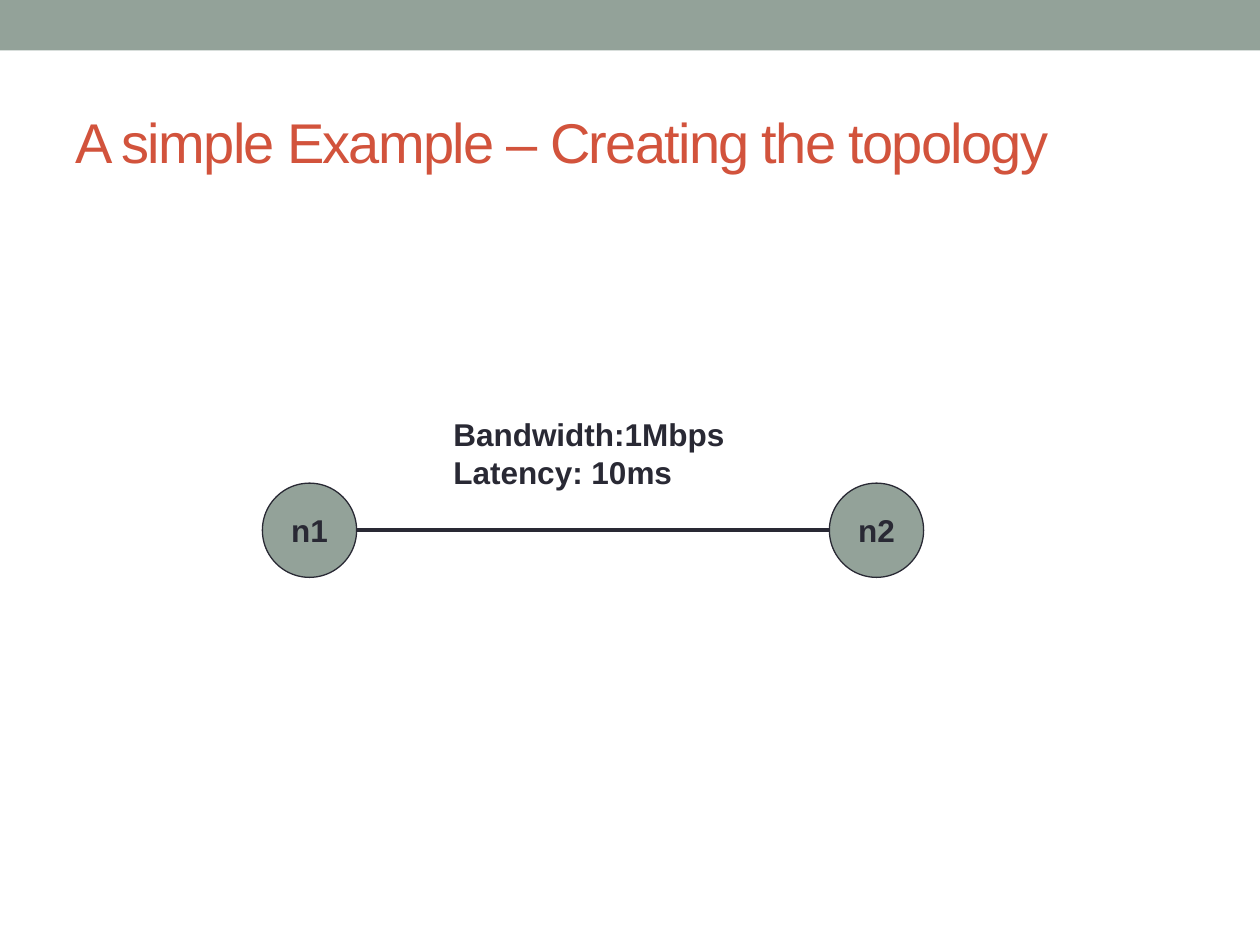
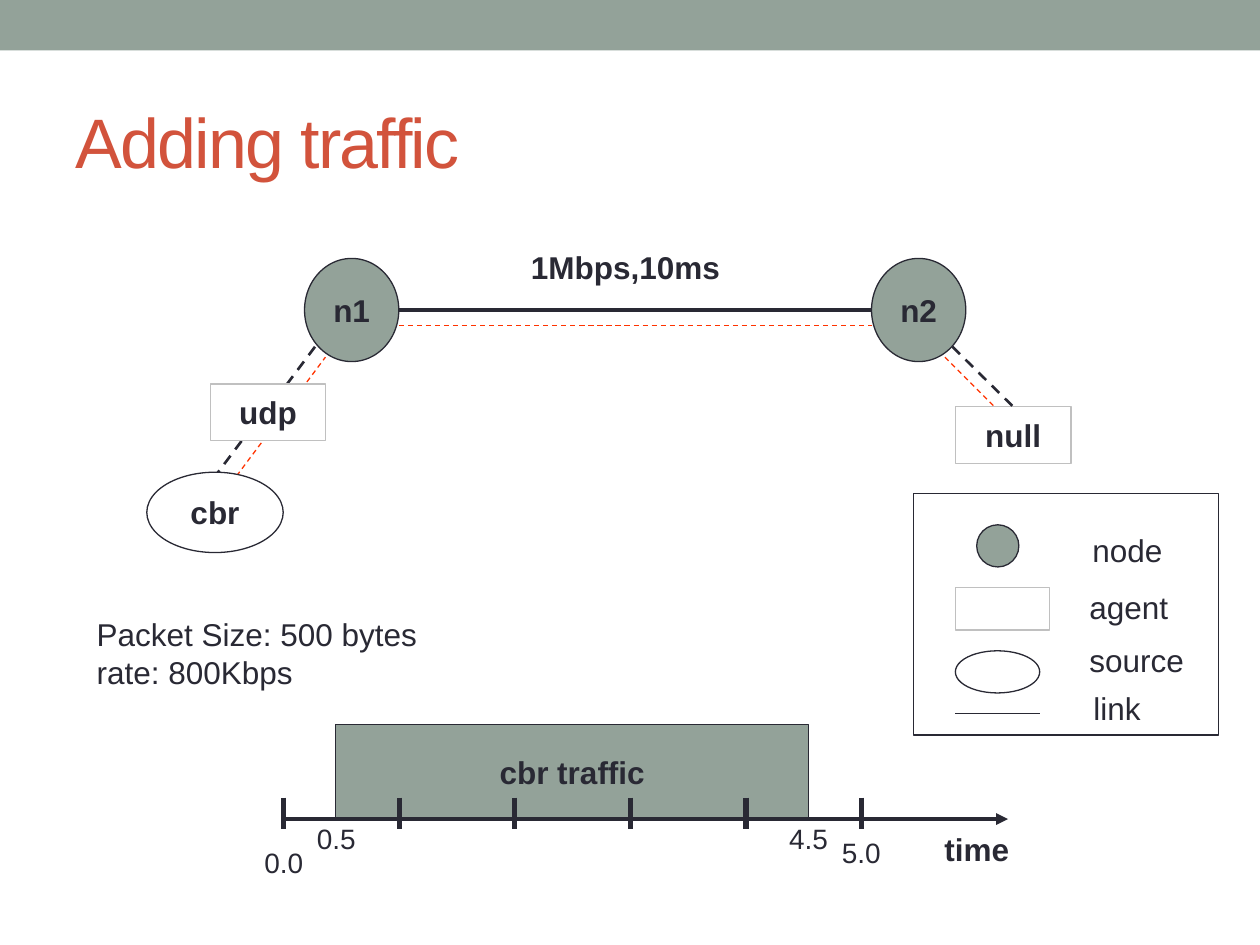
from pptx import Presentation
from pptx.dml.color import RGBColor
from pptx.enum.dml import MSO_LINE_DASH_STYLE as Dash
from pptx.enum.shapes import MSO_CONNECTOR, MSO_SHAPE as Shape
from pptx.enum.text import MSO_ANCHOR as Anchor, PP_ALIGN as Align
from pptx.oxml.ns import qn
from pptx.util import Cm, Pt
from lxml.etree import SubElement

FONT = "Arial"
COLORS = {
    "sage": "93A299",
    "title": "D2533C",
    "ink": "292934",
    "white": "FFFFFF",
    "grey": "C0C0C0",
    "flow": "FF3300",
}
NODE_WIDTH = 1.9
NODE_STEP = 11.43
AGENT_SIZE = (2.33, 1.14)


def color(name):
    return RGBColor.from_string(COLORS[name])


def write(box, text, size=18, ink="ink", bold=False, align=Align.LEFT,
          anchor=Anchor.TOP, wrap=True, spacing=None):
    frame = box.text_frame
    frame.word_wrap = wrap
    frame.vertical_anchor = anchor
    for index, line in enumerate(text.split("\n")):
        para = frame.add_paragraph() if index else frame.paragraphs[0]
        para.alignment = align
        span = para.add_run()
        span.text = line
        span.font.name = FONT
        span.font.size = Pt(size)
        span.font.bold = bold
        span.font.color.rgb = color(ink)
        if spacing is not None:
            span._r.get_or_add_rPr().set("spc", str(spacing * 100))


def add_label(page, text, left, top, width, height, **style):
    box = page.shapes.add_textbox(Cm(left), Cm(top), Cm(width), Cm(height))
    write(box, text, **style)


def add_block(page, kind, left, top, width, height, fill="white", outline="ink", text=""):
    block = page.shapes.add_shape(kind, Cm(left), Cm(top), Cm(width), Cm(height))
    block.shadow.inherit = False
    block.fill.solid()
    block.fill.fore_color.rgb = color(fill)
    if outline:
        block.line.color.rgb = color(outline)
        block.line.width = Pt(0.75)
    else:
        block.line.fill.background()
    if text:
        write(block, text, bold=True, align=Align.CENTER, anchor=Anchor.MIDDLE, wrap=False)
    return block


def add_line(page, start, end, width=0.75, ink="ink", dashed=False, arrow=False):
    line = page.shapes.add_connector(
        MSO_CONNECTOR.STRAIGHT, *(Cm(value) for value in (*start, *end)))
    line.line.color.rgb = color(ink)
    line.line.width = Pt(width)
    if dashed:
        line.line.dash_style = Dash.DASH
    if arrow:
        SubElement(line.line._get_or_add_ln(), qn("a:tailEnd"), type="triangle")
    SubElement(line._element.spPr, qn("a:effectLst"))
    return line


def add_page(deck, title, size):
    page = deck.slides.add_slide(deck.slide_layouts[6])
    add_block(page, Shape.RECTANGLE, 0, 0, 25.4, 1.02, fill="sage", outline=None)
    add_label(page, title, 1.27, 1.47, 22.86, 2.74, size=size, ink="title",
              anchor=Anchor.MIDDLE, spacing=-1)
    return page


def add_linked_nodes(page, left, top, height):
    for index, name in enumerate(("n1", "n2")):
        add_block(page, Shape.OVAL, left + index * NODE_STEP, top, NODE_WIDTH, height,
                  fill="sage", text=name)
    middle = top + height / 2
    add_line(page, (left + NODE_WIDTH, middle), (left + NODE_STEP, middle), width=2.25)


def add_agents(page):
    for start, end in (((4.66, 9.74), (6.56, 7.2)),
                       ((8.04, 6.56), (17.57, 6.56)),
                       ((19.05, 7.2), (20.11, 8.26))):
        add_line(page, start, end, ink="flow", dashed=True)
    for start, end in (((6.35, 6.99), (5.72, 7.83)), ((4.87, 8.89), (4.23, 9.74))):
        add_line(page, start, end, width=1.5, dashed=True)
    add_linked_nodes(page, 6.14, 5.21, 2.08)
    add_block(page, Shape.RECTANGLE, 4.24, 7.74, *AGENT_SIZE, outline="grey", text="udp")
    sink = add_block(page, Shape.RECTANGLE, 19.26, 8.2, *AGENT_SIZE,
                     outline="grey", text="null")
    sink_link = add_line(page, (19.2, 6.99), (20.42, 8.2), width=1.5, dashed=True)
    sink_link.end_connect(sink, 0)
    add_block(page, Shape.OVAL, 2.96, 9.52, 2.75, 1.62, text="cbr")


def add_timeline(page):
    origin, axis, tick_step = 5.72, 16.51, 2.33
    add_block(page, Shape.RECTANGLE, 6.77, 14.6, 9.53, 1.91, fill="sage", text="cbr traffic")
    add_line(page, (origin, axis), (20.32, axis), width=2.25, arrow=True)
    for index in range(6):
        tick = origin + index * tick_step
        add_line(page, (tick, 16.08), (tick, 16.72), width=3)
    for time, left, top in (("0.0", 5.08, 16.93), ("0.5", 6.14, 16.43),
                            ("4.5", 15.66, 16.43), ("5.0", 16.72, 16.72)):
        add_label(page, time, left, top, 1.48, 0.94, size=16)
    add_label(page, "time", 18.79, 16.6, 1.84, 1.02, bold=True, wrap=False)


def add_legend(page):
    add_block(page, Shape.RECTANGLE, 18.42, 9.95, 6.14, 4.87)
    add_block(page, Shape.OVAL, 19.69, 10.58, 0.85, 0.85, fill="sage")
    add_block(page, Shape.RECTANGLE, 19.26, 11.85, 1.9, 0.85, outline="grey")
    add_block(page, Shape.OVAL, 19.26, 13.12, 1.7, 0.85)
    add_line(page, (19.26, 14.39), (20.96, 14.39))
    for name, left, top, width in (("node", 21.77, 10.59, 1.93), ("agent", 21.71, 11.73, 2.1),
                                   ("source", 21.71, 12.8, 2.41), ("link", 21.79, 13.77, 1.48)):
        add_label(page, name, left, top, width, 1.02, wrap=False)


def main():
    deck = Presentation()
    deck.slide_width, deck.slide_height = Cm(25.4), Cm(19.05)

    topology = add_page(deck, "A simple Example – Creating the topology", 32)
    add_linked_nodes(topology, 5.29, 9.74, NODE_WIDTH)
    add_label(topology, "Bandwidth:1Mbps\nLatency: 10ms", 8.89, 8.25, 5.97, 1.78,
              bold=True, wrap=False)

    traffic = add_page(deck, "Adding traffic", 40)
    add_agents(traffic)
    add_label(traffic, "1Mbps,10ms", 8.04, 4.88, 9.14, 1.02, bold=True, align=Align.CENTER)
    add_label(traffic, "Packet Size: 500 bytes\nrate: 800Kbps", 1.7, 12.27, 7.62, 1.78)
    add_timeline(traffic)
    add_legend(traffic)

    deck.save("out.pptx")


if __name__ == "__main__":
    main()
